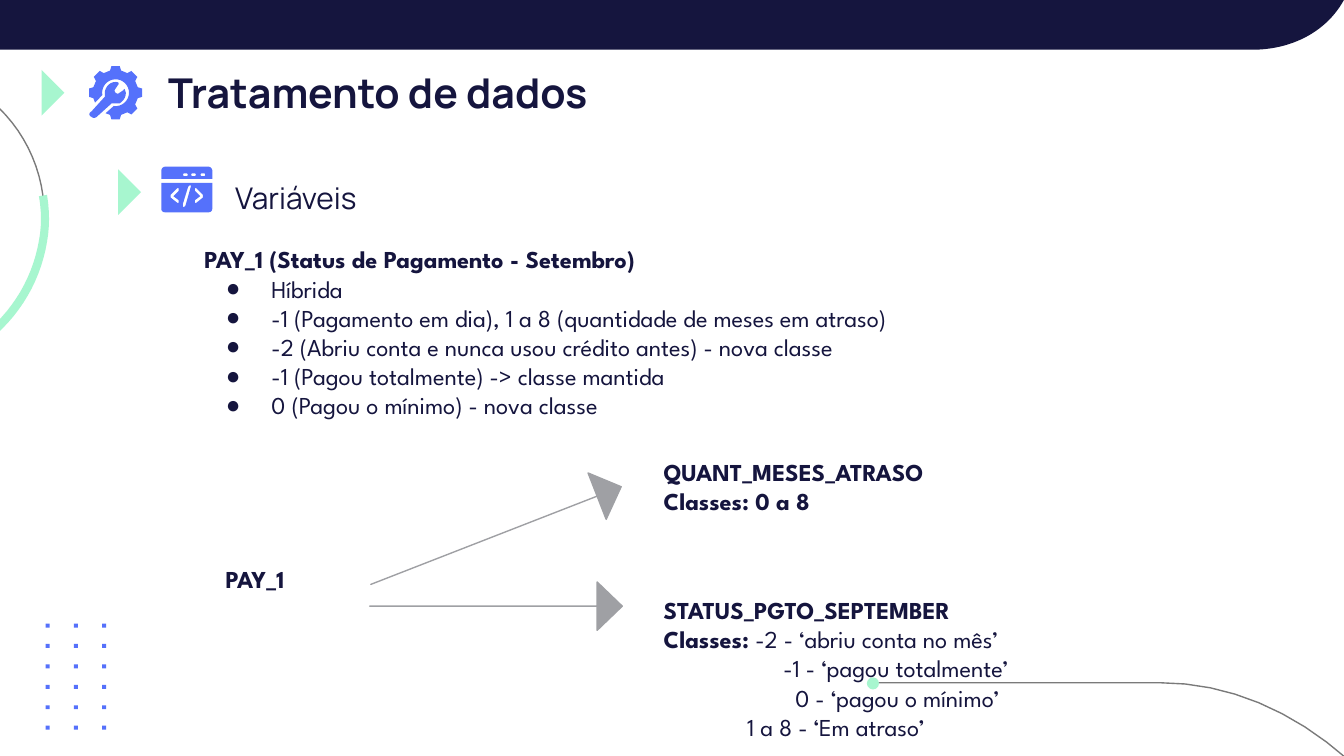
from math import cos, radians, sin

from lxml.etree import SubElement
from pptx import Presentation
from pptx.dml.color import RGBColor
from pptx.enum.shapes import MSO_SHAPE
from pptx.enum.text import MSO_ANCHOR, MSO_AUTO_SIZE, PP_ALIGN
from pptx.oxml.ns import qn
from pptx.util import Inches, Pt

COLORS = {"navy": "15153E", "blue": "5571FB", "mint": "A7F6CF",
          "line": "7A7A7A", "arrow": "9FA0A4"}
COLORS = {name: RGBColor.from_string(value) for name, value in COLORS.items()}

deck = Presentation()
deck.slide_width = Inches(10)
deck.slide_height = Inches(10 * 9 / 16)
slide = deck.slides.add_slide(deck.slide_layouts[3])
shapes = slide.shapes


def outline(contours, fill=None):
    """Draw contours of points (x, y) and cubic curves (x1, y1, x2, y2, x, y).

    With a fill they are closed, and inner contours are holes; without, a thin line.
    """
    builder = None
    for start, *steps in contours:
        points = [start]
        for step in steps:
            if len(step) == 2:
                points.append(step)
                continue
            controls = [points[-1], step[:2], step[2:4], step[4:]]
            count = 24 if abs(step[4] - points[-1][0]) > 0.2 else 6
            for t in (i / count for i in range(1, count + 1)):
                weights = ((1 - t) ** 3, 3 * t * (1 - t) ** 2, 3 * t * t * (1 - t), t ** 3)
                points.append(tuple(sum(w * c[axis] for w, c in zip(weights, controls))
                                    for axis in (0, 1)))
        points = [(Inches(x), Inches(y)) for x, y in points]
        if builder is None:
            builder = shapes.build_freeform(*points[0], scale=1.0)
        else:
            builder.move_to(*points[0])
        builder.add_line_segments(points[1:], close=fill is not None)
    shape = builder.convert_to_shape()
    shape.shadow.inherit = False
    if fill:
        shape.fill.solid()
        shape.fill.fore_color.rgb = COLORS[fill]
        shape.line.fill.background()
    else:
        shape.fill.background()
        shape.line.color.rgb = COLORS["line"]
        shape.line.width = Pt(0.75)


def write(box, place, lines, size, font, anchor=MSO_ANCHOR.TOP, bottom=0.1):
    """Place a box and fill it with lines of (runs, left indent, bulleted)."""
    box.left, box.top, box.width, box.height = map(Inches, place)
    frame = box.text_frame
    frame.word_wrap = True
    frame.auto_size = MSO_AUTO_SIZE.NONE
    frame.vertical_anchor = anchor
    frame.margin_left = frame.margin_right = frame.margin_top = Inches(0.1)
    frame.margin_bottom = Inches(bottom)
    for number, (runs, indent, bulleted) in enumerate(lines):
        para = frame.add_paragraph() if number else frame.paragraphs[0]
        para.alignment = PP_ALIGN.LEFT
        para.space_before = para.space_after = Pt(0)
        properties = para._p.get_or_add_pPr()
        properties.set("marL", str(Inches(indent)))
        properties.set("indent", str(Inches(-0.34 if bulleted else 0)))
        if bulleted:
            color = SubElement(properties, qn("a:buClr"))
            SubElement(color, qn("a:srgbClr"), val=str(COLORS["navy"]))
            SubElement(properties, qn("a:buChar"), char="●")
        else:
            SubElement(properties, qn("a:buNone"))
        para.font.size, para.font.name = Pt(size), font
        para.font.color.rgb = COLORS["navy"]
        for text, bold in runs:
            span = para.add_run()
            span.text, span.font.bold = text, bold


# Background decoration
outline([[(6.5, 5.08), (8.63, 5.08), (10.16, 5.08, 11.4, 6.95, 11.4, 9.26), (11.4, 10.59)]])
outline([[(-0.96, 0.49), (-0.34, 0.4, 0.24, 0.84, 0.32, 1.46)]])
outline([[(-0.65, 2.71), (-0.64, 2.77), (-0.12, 2.7, 0.27, 2.29, 0.35, 1.8),
          (0.37, 1.69, 0.37, 1.57, 0.35, 1.45), (0.29, 1.46),
          (0.31, 1.57, 0.31, 1.69, 0.29, 1.79), (0.21, 2.26, -0.16, 2.64, -0.65, 2.71)]], "mint")
outline([[(0, 0), (0, 0.37), (9.35, 0.37), (9.64, 0.36, 9.88, 0.22, 10, 0)]], "navy")

dots = [(MSO_SHAPE.RECTANGLE, 0.34 + 0.21 * column, 4.64 + 0.76 / 5 * row, 0.03, 0.03, "blue")
        for row in range(6) for column in range(3)]
for kind, x, y, width, height, color in [(MSO_SHAPE.OVAL, 6.45, 5.04, 0.09, 0.09, "mint"), *dots]:
    dot = shapes.add_shape(kind, Inches(x), Inches(y), Inches(width), Inches(height))
    dot.shadow.inherit = False
    dot.fill.solid()
    dot.fill.fore_color.rgb = COLORS[color]
    dot.line.fill.background()

# Heading markers
for x, y in [(0.31, 0.52), (0.88, 1.26)]:
    outline([[(x, y), (x + 0.17, y + 0.17), (x, y + 0.34)]], "mint")

# Code window icon
pills = [[(x + 0.01, 1.29), (x + 0.03, 1.29), (x + 0.04, 1.29, x + 0.04, 1.31, x + 0.03, 1.31),
          (x + 0.01, 1.31), (x, 1.31, x, 1.29, x + 0.01, 1.29)] for x in (1.36, 1.42, 1.49)]
outline([[(1.23, 1.24), (1.21, 1.24, 1.2, 1.26, 1.2, 1.27), (1.2, 1.33), (1.58, 1.33),
          (1.58, 1.27), (1.58, 1.26, 1.57, 1.24, 1.55, 1.24)], *pills], "blue")
chevrons = [[(1.39 + side * dx, y) for dx, y in
             [(0.07, 1.4), (0.12, 1.45), (0.12, 1.47), (0.07, 1.51), (0.06, 1.51),
              (0.06, 1.49), (0.1, 1.46), (0.06, 1.42), (0.06, 1.4)]] for side in (-1, 1)]
slash = [(1.41, 1.38), (1.42, 1.38), (1.42, 1.39), (1.38, 1.53), (1.37, 1.54),
         (1.36, 1.54), (1.36, 1.52), (1.4, 1.39)]
outline([[(1.2, 1.36), (1.2, 1.55), (1.2, 1.57, 1.21, 1.58, 1.23, 1.58), (1.55, 1.58),
          (1.57, 1.58, 1.58, 1.57, 1.58, 1.55), (1.58, 1.36)], *chevrons, slash], "blue")

# Gear icon: seven teeth, with a gap for the wrench at the lower left
rim = [(154, 0.17)]
for tooth in range(180, 451, 45):
    rim += [(tooth - 14, 0.17), (tooth - 9, 0.2), (tooth + 9, 0.2), (tooth + 14, 0.17)]
rim += [(476, 0.17)] + [(angle, 0.1) for angle in range(458, 165, -12)]
outline([[(0.86 + radius * cos(radians(angle)), 0.69 + radius * sin(radians(angle)))
          for angle, radius in rim]], "blue")
outline([[(0.86, 0.61), (0.82, 0.61, 0.79, 0.64, 0.78, 0.68), (0.78, 0.69, 0.78, 0.71, 0.78, 0.72),
          (0.68, 0.83), (0.66, 0.84, 0.66, 0.86, 0.68, 0.87), (0.69, 0.88, 0.71, 0.88, 0.72, 0.87),
          (0.83, 0.77), (0.85, 0.77, 0.87, 0.77, 0.89, 0.77), (0.92, 0.75, 0.95, 0.71, 0.93, 0.67),
          (0.93, 0.66, 0.92, 0.66, 0.92, 0.67), (0.89, 0.69), (0.88, 0.7, 0.87, 0.7, 0.86, 0.69),
          (0.85, 0.68, 0.85, 0.67, 0.86, 0.66), (0.88, 0.63), (0.89, 0.62, 0.88, 0.61, 0.86, 0.61)]],
        "blue")

# Headings and list
subtitle, body = slide.placeholders[1], slide.placeholders[2]
write(shapes.title, (1.15, 0.39, 6.93, 0.48), [([("Tratamento de dados", True)], 0, False)],
      22, "Manrope", MSO_ANCHOR.BOTTOM, 0)
write(subtitle, (1.65, 1.12, 3.19, 0.48), [([("Variáveis", False)], 0, False)],
      16, "Manrope", MSO_ANCHOR.BOTTOM, 0)
items = ["Híbrida",
         "-1 (Pagamento em dia), 1 a 8 (quantidade de meses em atraso)",
         "-2 (Abriu conta e nunca usou crédito antes) - nova classe",
         "-1 (Pagou totalmente) -> classe mantida",
         "0 (Pagou o mínimo) - nova classe"]
write(body, (1.42, 1.72, 7.64, 0.87),
      [([("PAY_1 (Status de Pagamento - Setembro)", True)], 0, False)]
      + [([(item, False)], 0.5, True) for item in items], 13, "League Spartan", bottom=0)

# Split of PAY_1 into two variables
for x, y, width, height, rotation in [(2.69, 3.8, 2, 0.37, 158.7), (2.75, 4.33, 1.88, 0.36, 180)]:
    arrow = shapes.add_shape(MSO_SHAPE.LEFT_ARROW, Inches(x), Inches(y),
                             Inches(width), Inches(height))
    arrow.rotation = rotation
    arrow.adjustments[0], arrow.adjustments[1] = 0, 0.52
    arrow.shadow.inherit = False
    arrow.fill.solid()
    arrow.fill.fore_color.rgb = arrow.line.color.rgb = COLORS["arrow"]
    arrow.line.width = Pt(0.75)

variables = [
    ((1.58, 4.1, 1.11, 0.42), [([("PAY_1", True)], 0, False)]),
    ((4.84, 3.3, 3.25, 0.64), [([("QUANT_MESES_ATRASO", True)], 0, False),
                               ([("Classes: 0 a 8", True)], 0, False)]),
    ((4.84, 4.33, 3.25, 1.3), [([("STATUS_PGTO_SEPTEMBER", True)], 0, False),
                               ([("Classes: ", True), ("-2 - ‘abriu conta no mês’", False)], 0, False),
                               ([("-1 - ‘pagou totalmente’", False)], 0.89, False),
                               ([("0 - ‘pagou o mínimo’", False)], 0.98, False),
                               ([("1 a 8 - ‘Em atraso’", False)], 0.62, False)]),
]
for place, lines in variables:
    write(shapes.add_textbox(0, 0, 0, 0), place, lines, 13, "League Spartan")

deck.save("out.pptx")
